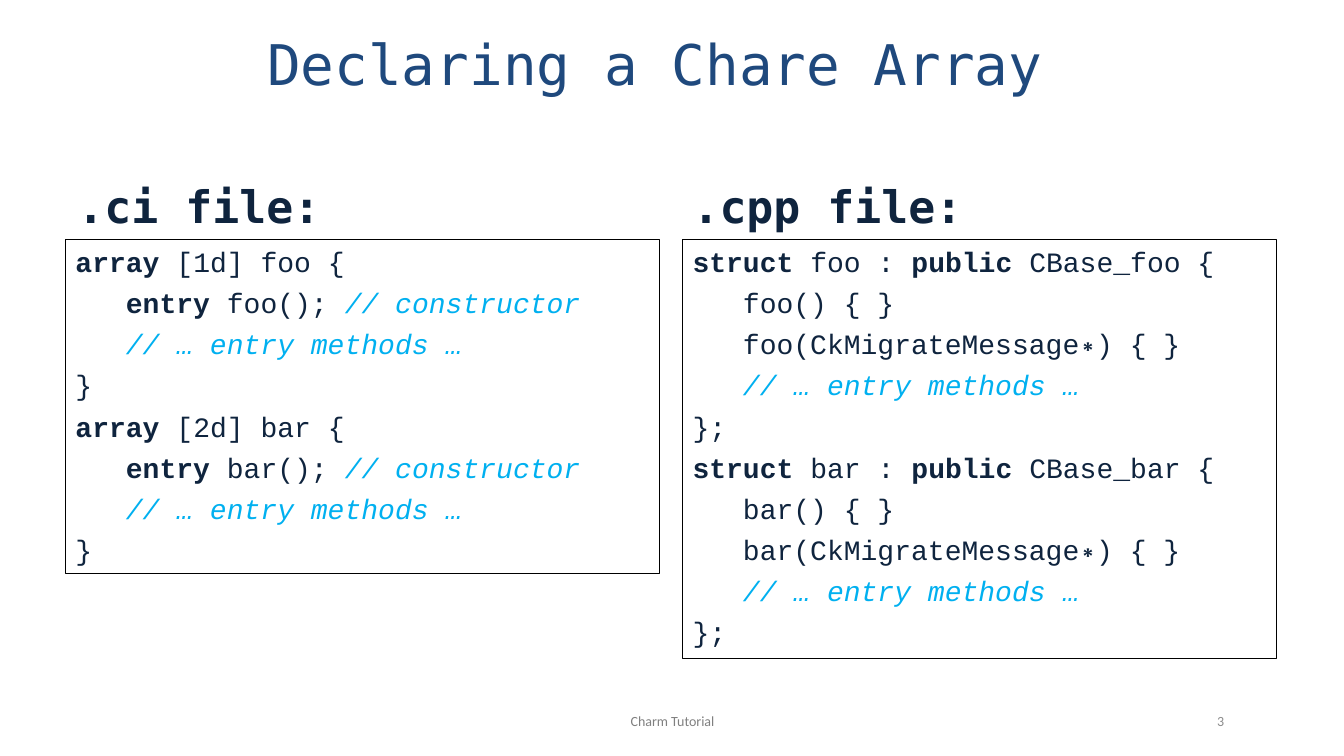
"""Builds the slide that declares a chare array in a .ci and a .cpp file."""
import pptx
import pptx.util
import pptx.dml.color
import pptx.enum.shapes
import pptx.enum.text

Inches = pptx.util.Inches
Pt = pptx.util.Pt
ALIGN = pptx.enum.text.PP_ALIGN
ANCHOR = pptx.enum.text.MSO_ANCHOR

THEME = {
    "title": {"font": "DejaVu Sans Mono", "size": 40, "color": "1F497D"},
    "heading": {"font": "DejaVu Sans Mono", "size": 32, "color": "0F243E", "bold": True},
    "code": {"font": "Courier New", "size": 20, "color": "0F243E"},
    "keyword": {"font": "Courier New", "size": 20, "color": "0F243E", "bold": True},
    "comment": {"font": "Courier New", "size": 20, "color": "00B0F0", "italic": True},
    "footer": {"font": "Calibri", "size": 10, "color": "808080"},
    "number": {"font": "Calibri", "size": 10, "color": "8C8C8C"},
}
BORDER = "000000"
CODE_SPACING = 5.3
CODE_INDENT = 0.5

TITLE = "Declaring a Chare Array "
FOOTER = "Charm Tutorial"
NUMBER = "3"
METHODS = (1, [("// … entry methods …", "comment")])


def interface_lines(name, dimension):
    """Returns the .ci declaration as (indent level, runs) lines."""
    return [
        (0, [("array", "keyword"), (f" [{dimension}] {name} {{", "code")]),
        (1, [("entry", "keyword"), (f" {name}(); ", "code"), ("// constructor", "comment")]),
        METHODS,
        (0, [("}", "code")]),
    ]


def struct_lines(name):
    """Returns the .cpp declaration as (indent level, runs) lines."""
    return [
        (0, [("struct", "keyword"), (f" {name} : ", "code"),
             ("public", "keyword"), (f" CBase_{name} {{", "code")]),
        (1, [(f"{name}() {{ }}", "code")]),
        (1, [(f"{name}(CkMigrateMessage∗) {{ }}", "code")]),
        METHODS,
        (0, [("};", "code")]),
    ]


COLUMNS = [
    {"heading": ".ci file:", "heading_left": 0.67, "left": 0.65, "height": 3.31,
     "lines": interface_lines("foo", "1d") + interface_lines("bar", "2d")},
    {"heading": ".cpp file:", "heading_left": 6.77, "left": 6.77, "height": 4.15,
     "lines": struct_lines("foo") + struct_lines("bar")},
]
COLUMN_WIDTH, HEADING_TOP, HEADING_HEIGHT, CODE_TOP = 5.89, 1.66, 0.7, 2.38


def write_text(shape, lines, align=ALIGN.LEFT, anchor=ANCHOR.MIDDLE, space_before=0):
    """Fills a shape with (indent level, runs) lines."""
    frame = shape.text_frame
    frame.word_wrap = True
    frame.auto_size = pptx.enum.text.MSO_AUTO_SIZE.NONE
    frame.vertical_anchor = anchor
    for index, (level, runs) in enumerate(lines):
        paragraph = frame.add_paragraph() if index else frame.paragraphs[0]
        paragraph.alignment = align
        paragraph.space_before = Pt(space_before)
        if level:
            properties = paragraph._p.get_or_add_pPr()
            properties.set("marL", str(Inches(CODE_INDENT * level)))
            properties.set("indent", "0")
        for text, style_name in runs:
            style = THEME[style_name]
            run = paragraph.add_run()
            run.text = text
            run.font.name = style["font"]
            run.font.size = Pt(style["size"])
            run.font.bold = style.get("bold", False)
            run.font.italic = style.get("italic", False)
            run.font.color.rgb = pptx.dml.color.RGBColor.from_string(style["color"])


def add_label(slide, text, style_name, box, **text_format):
    """Adds a one-line text box."""
    label = slide.shapes.add_textbox(*map(Inches, box))
    write_text(label, [(0, [(text, style_name)])], **text_format)


def add_code_box(slide, lines, box):
    """Adds an outlined box of code."""
    code_box = slide.shapes.add_shape(
        pptx.enum.shapes.MSO_SHAPE.RECTANGLE, *map(Inches, box))
    code_box.shadow.inherit = False
    code_box.fill.background()
    code_box.line.color.rgb = pptx.dml.color.RGBColor.from_string(BORDER)
    code_box.line.width = Pt(0.75)
    write_text(code_box, lines, anchor=ANCHOR.TOP, space_before=CODE_SPACING)


presentation = pptx.Presentation()
presentation.slide_width = Inches(13.33)
presentation.slide_height = Inches(7.5)
slide = presentation.slides.add_slide(presentation.slide_layouts[5])

title = slide.shapes.title
title.left, title.top, title.width, title.height = map(Inches, (0.44, 0.17, 12.44, 0.92))
write_text(title, [(0, [(TITLE, "title")])], align=ALIGN.CENTER)

for column in COLUMNS:
    add_label(slide, column["heading"], "heading",
              (column["heading_left"], HEADING_TOP, COLUMN_WIDTH, HEADING_HEIGHT),
              anchor=ANCHOR.BOTTOM)
    add_code_box(slide, column["lines"],
                 (column["left"], CODE_TOP, COLUMN_WIDTH, column["height"]))

add_label(slide, NUMBER, "number", (10.83, 6.95, 1.41, 0.4), align=ALIGN.RIGHT)
add_label(slide, FOOTER, "footer", (4.1, 6.95, 5.14, 0.4), align=ALIGN.CENTER)

presentation.save("out.pptx")
